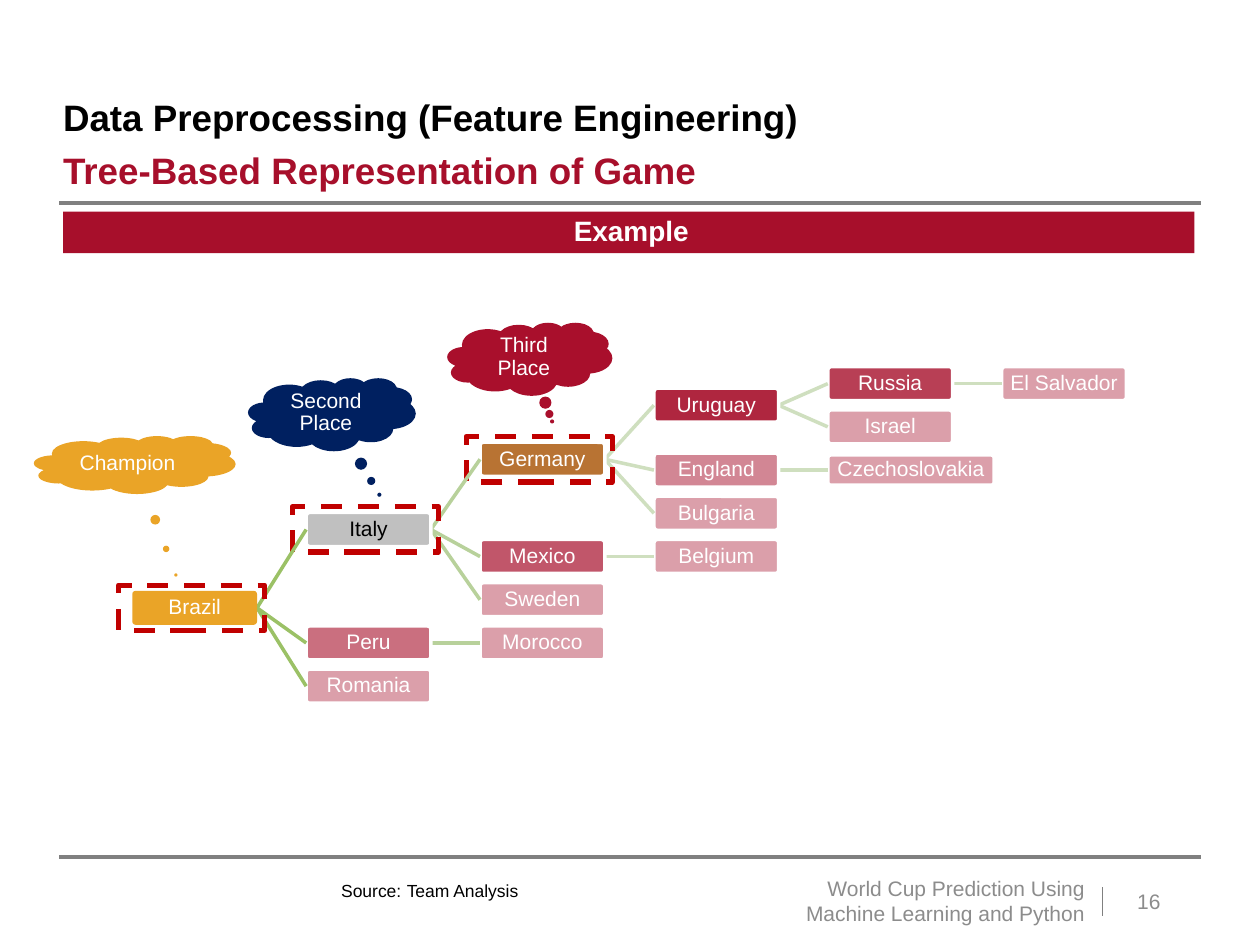
from collections import namedtuple

from pptx import Presentation
from pptx.dml.color import RGBColor
from pptx.enum.dml import MSO_LINE
from pptx.enum.shapes import MSO_CONNECTOR, MSO_SHAPE
from pptx.enum.text import MSO_ANCHOR, MSO_AUTO_SIZE, PP_ALIGN
from pptx.oxml.ns import qn
from pptx.oxml.xmlchemy import OxmlElement
from pptx.util import Inches, Pt

LEFT, CENTER, RIGHT = PP_ALIGN.LEFT, PP_ALIGN.CENTER, PP_ALIGN.RIGHT
TOP, MIDDLE, BOTTOM = MSO_ANCHOR.TOP, MSO_ANCHOR.MIDDLE, MSO_ANCHOR.BOTTOM
RECTANGLE, ROUNDED = MSO_SHAPE.RECTANGLE, MSO_SHAPE.ROUNDED_RECTANGLE
CLOUD = MSO_SHAPE.CLOUD_CALLOUT
DASH, STRAIGHT, NO_AUTOFIT = MSO_LINE.DASH, MSO_CONNECTOR.STRAIGHT, MSO_AUTO_SIZE.NONE

BLACK = RGBColor(0x00, 0x00, 0x00)
WHITE = RGBColor(0xFF, 0xFF, 0xFF)
GRAY = RGBColor(0x80, 0x80, 0x80)
FOOTER_GRAY = RGBColor(0x8C, 0x8C, 0x8C)
CRIMSON = RGBColor(0xA7, 0x0F, 0x2B)
CLOUD_RED = RGBColor(0xA9, 0x0F, 0x2C)
NAVY = RGBColor(0x00, 0x20, 0x60)
GOLD = RGBColor(0xEA, 0xA4, 0x27)
SILVER = RGBColor(0xC0, 0xC0, 0xC0)
BRONZE = RGBColor(0xB8, 0x73, 0x33)
HIGHLIGHT_RED = RGBColor(0xC0, 0x00, 0x00)
PALE_GREEN = RGBColor(0xCF, 0xDF, 0xBF)
BRANCH_COLORS = [RGBColor(0x9B, 0xC1, 0x66), RGBColor(0xB8, 0xD1, 0x9B),
                 PALE_GREEN, PALE_GREEN, PALE_GREEN]

FONT = "Arial"
LEVEL_STEP, LEAF_STEP = 1.38, 0.343
NODE_WIDTH, NODE_HEIGHT = 0.99, 0.27
LONG_NODE_WIDTH, LONG_NODE_HEIGHT = 1.32, 0.24
HIGHLIGHT_WIDTH, HIGHLIGHT_HEIGHT, HIGHLIGHT_OFFSET = 1.16, 0.36, 0.11

Box = namedtuple("Box", "left top width height")
Team = namedtuple("Team", "name opacity children", defaults=[40, ()])

MEDALS = {"Brazil": (GOLD, WHITE), "Italy": (SILVER, BLACK), "Germany": (BRONZE, WHITE)}
GAMES = Team("Brazil", 100, [
    Team("Italy", 100, [
        Team("Germany", 100, [
            Team("Uruguay", 90, [
                Team("Russia", 80, [Team("El Salvador")]),
                Team("Israel"),
            ]),
            Team("England", 50, [Team("Czechoslovakia")]),
            Team("Bulgaria"),
        ]),
        Team("Mexico", 70, [Team("Belgium")]),
        Team("Sweden"),
    ]),
    Team("Peru", 60, [Team("Morocco")]),
    Team("Romania"),
])
CLOUDS = [
    ("Third Place", Box(3.28, 0, 1.31, 0.58), CLOUD_RED, (0.135, 0.854)),
    ("Second Place", Box(1.7, 0.44, 1.33, 0.58), NAVY, (0.283, 1.098)),
    ("Champion", Box(0, 0.9, 1.6, 0.46), GOLD, (0.204, 1.901)),
]


def inches(box):
    return [Inches(value) for value in box]


def inside(box, left, top, width, height):
    return Box(box.left + left, box.top + top, width, height)


def write_text(shape, text, size=12, color=WHITE, bold=False, align=CENTER,
               anchor=MIDDLE, spacing=0.9, margins=None):
    frame = shape.text_frame
    frame.word_wrap = True
    frame.auto_size = NO_AUTOFIT
    frame.vertical_anchor = anchor
    if margins:
        (frame.margin_left, frame.margin_top,
         frame.margin_right, frame.margin_bottom) = inches(margins)
    frame.text = text
    paragraph = frame.paragraphs[0]
    paragraph.alignment = align
    paragraph.line_spacing = spacing
    paragraph.space_before = Pt(0)
    font = paragraph.runs[0].font
    font.name, font.size, font.bold = FONT, Pt(size), bold
    font.color.rgb = color


def add_label(slide, box, text, **text_format):
    write_text(slide.shapes.add_textbox(*inches(box)), text, **text_format)


def add_filled(slide, kind, box, color, opacity=100):
    shape = slide.shapes.add_shape(kind, *inches(box))
    shape.shadow.inherit = False
    shape.fill.solid()
    shape.fill.fore_color.rgb = color
    shape.line.fill.background()
    if opacity < 100:
        alpha = OxmlElement("a:alpha")
        alpha.set("val", str(opacity * 1000))
        shape.element.spPr.find(".//" + qn("a:srgbClr")).append(alpha)
    return shape


def add_line(slide, start, end, color, width):
    line = slide.shapes.add_connector(STRAIGHT, *inches(start), *inches(end))
    line.line.color.rgb = color
    line.line.width = Pt(width)
    line.element.spPr.append(OxmlElement("a:effectLst"))


def add_header(slide, box):
    title, subtitle = slide.placeholders
    parts = [(title, "Data Preprocessing (Feature Engineering)", 0, 0.83, BLACK, BOTTOM),
             (subtitle, "Tree-Based Representation of Game", 0.93, 0.3, CRIMSON, TOP)]
    for shape, text, top, height, color, anchor in parts:
        shape.left, shape.top, shape.width, shape.height = inches(
            inside(box, 0, top, box.width, height))
        write_text(shape, text, size=21, color=color, bold=True, align=LEFT,
                   anchor=anchor, margins=(0, 0, 0, 0))
    properties = subtitle.text_frame.paragraphs[0]._p.get_or_add_pPr()
    properties.set("marL", "0")
    properties.set("indent", "0")
    properties.append(OxmlElement("a:buNone"))
    rule = box.top + box.height
    add_line(slide, (box.left - 0.03, rule), (box.left + box.width + 0.03, rule), GRAY, 2.25)


def add_banner(slide, box):
    banner = add_filled(slide, RECTANGLE, box, CRIMSON)
    write_text(banner, "Example", size=16, bold=True, margins=(0.04, 0, 0, 0))


def add_node(slide, team, left, middle):
    long_name = len(team.name) > 12
    width = LONG_NODE_WIDTH if long_name else NODE_WIDTH
    height = LONG_NODE_HEIGHT if long_name else NODE_HEIGHT
    fill, text_color = MEDALS.get(team.name, (CRIMSON, WHITE))
    node = add_filled(slide, ROUNDED, Box(left, middle - height / 2, width, height),
                      fill, team.opacity)
    node.adjustments[0] = 0.1
    if team is not GAMES:
        node.line.color.rgb = WHITE
        node.line.width = Pt(2)
    write_text(node, team.name, color=text_color, margins=(0.01,) * 4)


def add_branch(slide, team, box, leaf=0, level=0):
    left = box.left + level * LEVEL_STEP
    middles = []
    next_leaf = leaf
    for child in team.children:
        middle, next_leaf = add_branch(slide, child, box, next_leaf, level + 1)
        middles.append(middle)
    if not middles:
        middles = [box.top + NODE_HEIGHT / 2 + leaf * LEAF_STEP]
        next_leaf = leaf + 1
    own_middle = (middles[0] + middles[-1]) / 2
    for child, middle in zip(team.children, middles):
        add_line(slide, (left + NODE_WIDTH, own_middle), (left + LEVEL_STEP, middle),
                 BRANCH_COLORS[level], 2)
    add_node(slide, team, left, own_middle)
    if team.name in MEDALS:
        add_highlight(slide, left - HIGHLIGHT_OFFSET, own_middle)
    return own_middle, next_leaf


def add_highlight(slide, left, middle):
    frame = slide.shapes.add_shape(RECTANGLE, *inches(
        Box(left, middle - HIGHLIGHT_HEIGHT / 2, HIGHLIGHT_WIDTH, HIGHLIGHT_HEIGHT)))
    frame.shadow.inherit = False
    frame.fill.background()
    frame.line.color.rgb = HIGHLIGHT_RED
    frame.line.width = Pt(3)
    frame.line.dash_style = DASH


def add_clouds(slide, box):
    for text, place, color, tail in CLOUDS:
        cloud = add_filled(slide, CLOUD, inside(box, *place), color)
        cloud.adjustments[0], cloud.adjustments[1] = tail
        write_text(cloud, text)


def add_footer(slide, box):
    add_line(slide, (box.left, box.top), (box.left + box.width, box.top), GRAY, 2.25)
    divider = box.left + 8.28
    add_line(slide, (divider, box.top + 0.24), (divider, box.top + 0.47), GRAY, 0.75)
    for text, left, width in [("Source:", 2.14, 5.03), ("Team Analysis", 2.66, 4.05)]:
        add_label(slide, inside(box, left, 0.08, width, 0.4), text,
                  size=10, color=BLACK, align=LEFT)
    for text, left, width in [
            ("World Cup Prediction Using Machine Learning and Python", 5.39, 2.85),
            ("16", 8.31, 0.53)]:
        add_label(slide, inside(box, left, 0.15, width, 0.4), text,
                  color=FOOTER_GRAY, align=RIGHT, spacing=1.0)


def main():
    presentation = Presentation()
    presentation.slide_width, presentation.slide_height = Inches(10), Inches(7.5)
    slide = presentation.slides.add_slide(presentation.slide_layouts[1])
    add_header(slide, Box(0.5, 0.28, 9, 1.33))
    add_banner(slide, Box(0.5, 1.68, 8.98, 0.33))
    add_branch(slide, GAMES, Box(1.05, 2.91, 7.89, 2.68))
    add_clouds(slide, Box(0.27, 2.56, 4.59, 1.36))
    add_footer(slide, Box(0.47, 6.8, 9.06, 0.55))
    presentation.save("out.pptx")


if __name__ == "__main__":
    main()
